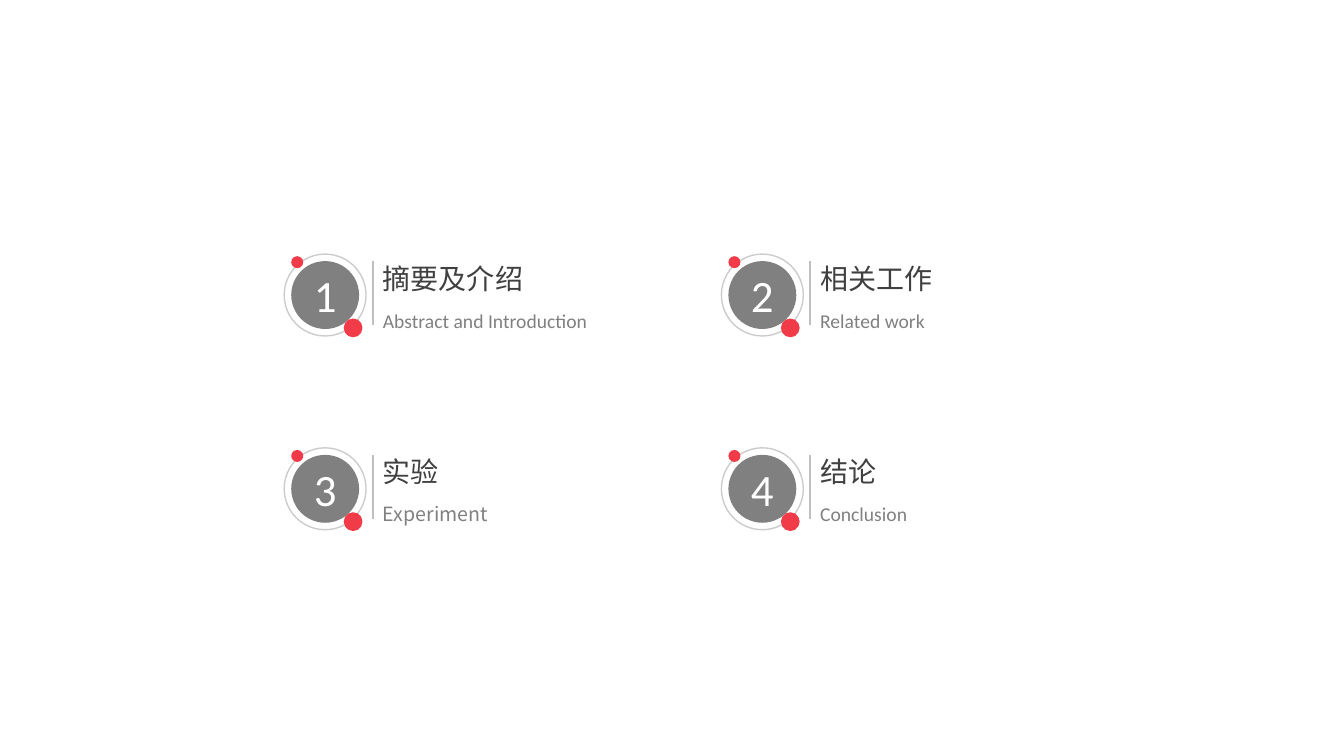
"""Build a contents slide with four numbered sections in a two-by-two grid."""
import lxml.etree
import pptx
import pptx.dml.color
import pptx.enum.shapes
import pptx.enum.text
import pptx.oxml.ns
import pptx.util

Pt = pptx.util.Pt
qn = pptx.oxml.ns.qn
OVAL = pptx.enum.shapes.MSO_SHAPE.OVAL
ALIGN = pptx.enum.text.PP_ALIGN
GRAY = pptx.dml.color.RGBColor(0x80, 0x80, 0x80)
DARK = pptx.dml.color.RGBColor(0x40, 0x40, 0x40)
RULE = pptx.dml.color.RGBColor(0xBF, 0xBF, 0xBF)
RED = pptx.dml.color.RGBColor(0xF2, 0x3B, 0x48)
WHITE = pptx.dml.color.RGBColor(0xFF, 0xFF, 0xFF)
LATIN = "Calibri"
CJK = "Noto Sans CJK SC"

LEFT, TOP = 203, 181.5
COLUMN_STEP, ROW_STEP = 312.3, 138.4
TEXT_X = 63.4

SECTIONS = [
    ("摘要及介绍", CJK, "Abstract and Introduction", LATIN),
    ("相关工作", CJK, "Related work", LATIN),
    ("实验", CJK, "Experiment", CJK),
    ("结论", LATIN, "Conclusion", LATIN),
]


def add_circle(shapes, x, y, size, fill=None):
    sp = shapes.add_shape(OVAL, Pt(x), Pt(y), Pt(size), Pt(size))
    sp.shadow.inherit = False
    if fill is None:
        sp.fill.background()
    else:
        sp.fill.solid()
        sp.fill.fore_color.rgb = fill
        sp.line.fill.background()
    return sp


def set_text(tf, text, size, font, color, align):
    p = tf.paragraphs[0]
    p.alignment = align
    r = p.add_run()
    r.text = text
    r.font.size = Pt(size)
    r.font.name = font
    r.font.color.rgb = color
    ea = lxml.etree.SubElement(r.font._element, qn("a:ea"))
    ea.set("typeface", CJK)


prs = pptx.Presentation()
prs.slide_width, prs.slide_height = Pt(960), Pt(540)
s = prs.slides.add_slide(prs.slide_layouts[6])

for i, (title, title_font, subtitle, subtitle_font) in enumerate(SECTIONS):
    row, column = divmod(i, 2)
    x = LEFT + column * COLUMN_STEP
    y = TOP + row * ROW_STEP
    shapes = s.shapes.add_group_shape().shapes

    disc = add_circle(shapes, x + 5, y + 5, 48.5, GRAY)
    disc.text_frame.vertical_anchor = pptx.enum.text.MSO_ANCHOR.MIDDLE
    set_text(disc.text_frame, str(i + 1), 32, LATIN, WHITE, ALIGN.CENTER)

    ring = add_circle(shapes, x, y, 58.5)
    ring.line.color.rgb = GRAY
    ring.line.width = Pt(1)
    ring_color = ring.line._ln.find(".//" + qn("a:srgbClr"))
    lxml.etree.SubElement(ring_color, qn("a:alpha")).set("val", "40000")

    add_circle(shapes, x + 42.5, y + 46, 13.4, RED)
    add_circle(shapes, x + 5, y + 1.5, 8.6, RED)

    for text, font, size, color, dy, height in (
        (title, title_font, 20, DARK, 1.4, 31.5),
        (subtitle, subtitle_font, 14, GRAY, 35.3, 24.3),
    ):
        box = shapes.add_textbox(Pt(x + TEXT_X), Pt(y + dy), Pt(178), Pt(height))
        tf = box.text_frame
        tf.word_wrap = True
        tf.auto_size = pptx.enum.text.MSO_AUTO_SIZE.SHAPE_TO_FIT_TEXT
        set_text(tf, text, size, font, color, ALIGN.JUSTIFY)

    rule = shapes.add_connector(
        pptx.enum.shapes.MSO_CONNECTOR.STRAIGHT,
        Pt(x + TEXT_X), Pt(y + 5.3), Pt(x + TEXT_X), Pt(y + 51))
    rule.line.color.rgb = RULE
    rule.line.width = Pt(1)
    lxml.etree.SubElement(rule._element.spPr, qn("a:effectLst"))

prs.save("out.pptx")
